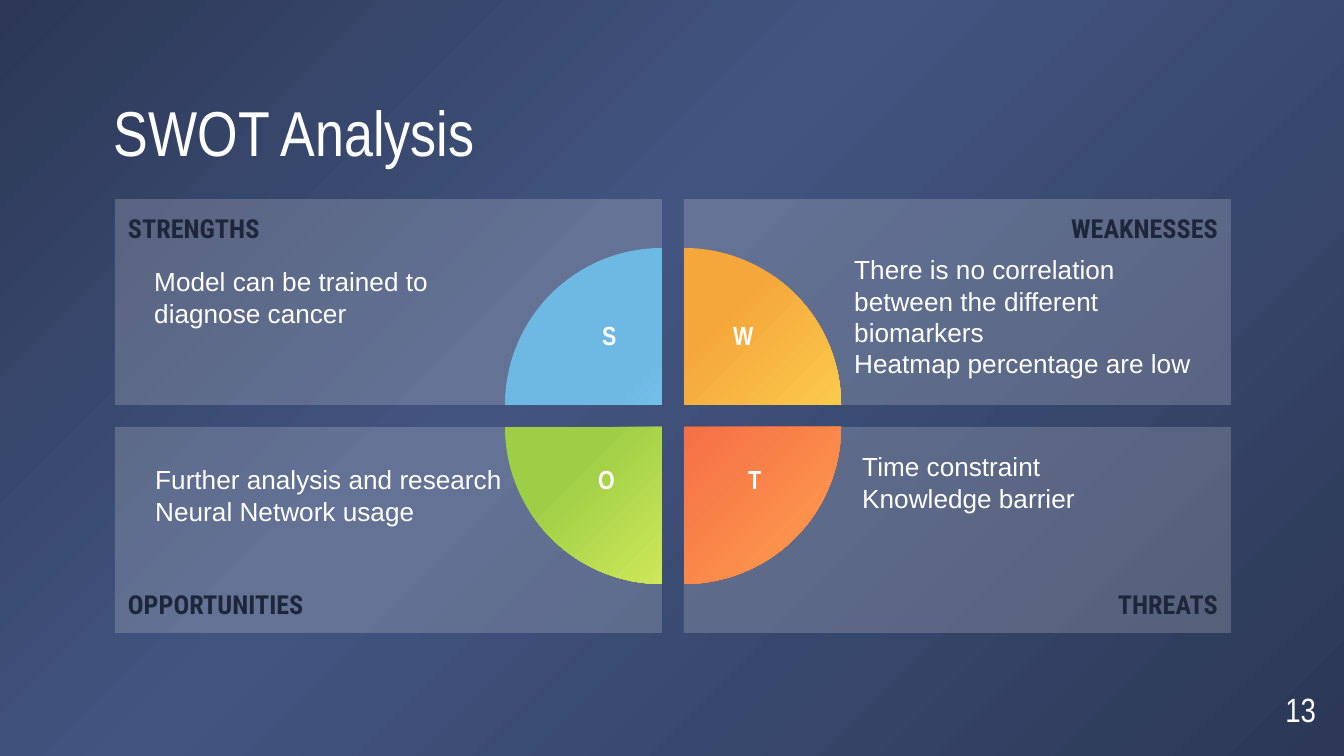
from pptx import Presentation
from pptx.dml.color import RGBColor as Rgb
from pptx.enum.shapes import MSO_SHAPE as Kind
from pptx.enum.text import MSO_ANCHOR as Anchor, MSO_AUTO_SIZE as Fit, PP_ALIGN as Align
from pptx.oxml import parse_xml
from pptx.oxml.ns import nsdecls, qn
from pptx.util import Emu, Pt

HUES = {
    "white": "FFFFFF", "ink": "1E263A", "edge": "2C3856", "mid": "425480",
    "S": ("9FFAFF", "6DB9E4"), "W": ("FFE659", "F5A73B"),
    "O": ("F4FC68", "9ECE46"), "T": ("FF9F4D", "F36846"),
}
NARROW = "Arial Narrow"
WIDE, HIGH = 547, 206
RADIUS = 157
LEFT, RIGHT = 115, 684
UPPER, LOWER = 199, 427


def px(n):
    return Emu(round(n * 914400 / 134.4))


def place(shape, box):
    shape.left, shape.top, shape.width, shape.height = map(px, box)


def glow(start, mid, end):
    stops = "".join(
        f'<a:gs pos="{pos}"><a:srgbClr val="{hue}"/></a:gs>'
        for pos, hue in ((0, start), (58000, mid), (100000, end)))
    return parse_xml(
        f'<a:gradFill {nsdecls("a")} rotWithShape="1"><a:gsLst>{stops}</a:gsLst>'
        '<a:path path="circle"><a:fillToRect l="100000" t="100000"/></a:path>'
        '<a:tileRect r="-100000" b="-100000"/></a:gradFill>')


def write(shape, text, size, font, hue="white", bold=False, align=Align.LEFT,
          anchor=Anchor.TOP, pad=None, lead=None, gap=0):
    frame = shape.text_frame
    frame.text = text
    frame.word_wrap = True
    frame.auto_size = Fit.NONE
    frame.vertical_anchor = anchor
    if pad:
        (frame.margin_left, frame.margin_top,
         frame.margin_right, frame.margin_bottom) = map(px, pad)
    for para in frame.paragraphs:
        para.alignment = align
        para.line_spacing = lead
        para.space_before = para.space_after = Pt(gap)
        for run in para.runs:
            run.font.size, run.font.name, run.font.bold = Pt(size), font, bold
            run.font.color.rgb = Rgb.from_string(HUES[hue])


def label(page, box, text, size, font, **style):
    write(page.shapes.add_textbox(*map(px, box)), text, size, font, **style)


def block(page, kind, box):
    shape = page.shapes.add_shape(kind, *map(px, box))
    shape.shadow.inherit = False
    shape.line.fill.background()
    return shape


def panel(page, box, head, right, low):
    rect = block(page, Kind.RECTANGLE, box)
    rect.fill.solid()
    rect.fill.fore_color.rgb = Rgb.from_string(HUES["white"])
    tint = rect.fill._xPr.find(qn("a:solidFill"))[0]
    tint.append(parse_xml(f'<a:alpha {nsdecls("a")} val="18000"/>'))
    write(rect, head, 14, "Roboto Condensed", "ink", True,
          Align.RIGHT if right else Align.LEFT,
          Anchor.BOTTOM if low else Anchor.TOP,
          (202, 13, 13, 13) if right else (13, 13, 202, 13), gap=6 if low else 0)


def wedge(page, hub, turn, key):
    x, y = hub
    pie = block(page, Kind.PIE, (x - RADIUS, y - RADIUS, 2 * RADIUS, 2 * RADIUS))
    pie.adjustments[0], pie.adjustments[1] = 108, 162
    pie.rotation = turn
    start, end = HUES[key]
    pie._element.spPr.find(qn("a:prstGeom")).addnext(glow(start, end, end))


def quad(page, box, turn, head, letter, note, lines):
    x, y, wide, high = box
    right, low = x == RIGHT, y == LOWER
    hub = (x if right else x + wide, y if low else y + high)
    panel(page, box, head, right, low)
    wedge(page, hub, turn, head[0])
    dx, dy, size = letter
    label(page, (hub[0] + dx, hub[1] + dy, size, 60), head[0], 14, NARROW,
          bold=True, align=Align.CENTER)
    dx, dy, tall = note
    label(page, (x + dx, y + dy, 375, tall), lines, 14, "Arial")


def header(page, box):
    title = page.shapes.title
    place(title, box)
    write(title, "SWOT Analysis", 34, NARROW, anchor=Anchor.BOTTOM,
          pad=(0, 0, 0, 0), lead=0.9)
    run = title.text_frame.paragraphs[0].runs[0]
    run._r.rPr.find(qn("a:solidFill")).addnext(parse_xml(
        f'<a:effectLst {nsdecls("a")}><a:outerShdw blurRad="38100" dist="38100" '
        'dir="2700000"><a:srgbClr val="000000"><a:alpha val="30000"/></a:srgbClr>'
        '</a:outerShdw></a:effectLst>'))


def backdrop(page):
    fill = page.background.fill
    fill.solid()
    old = fill._xPr.find(qn("a:solidFill"))
    old.addnext(glow(HUES["edge"], HUES["mid"], HUES["edge"]))
    fill._xPr.remove(old)


def main():
    deck = Presentation()
    deck.slide_width, deck.slide_height = px(1344), px(756)
    page = deck.slides.add_slide(deck.slide_layouts[5])
    backdrop(page)
    header(page, (114, 112, 1116, 58))
    label(page, (1235, 683, 81, 47), "13", 18, NARROW, align=Align.RIGHT,
          anchor=Anchor.BOTTOM, pad=(0, 0, 0, 0), lead=0.9)
    quads = [
        (LEFT, UPPER, 0, "STRENGTHS", (-73, -92, 30), (26, 60, 77),
         "Model can be trained to diagnose cancer"),
        (RIGHT, UPPER, 90, "WEAKNESSES", (36, -92, 46), (157, 48, 140),
         "There is no correlation between the different biomarkers\n"
         "Heatmap percentage are low"),
        (RIGHT, LOWER, 180, "THREATS", (51, 30, 31), (165, 17, 77),
         "Time constraint\nKnowledge barrier"),
        (LEFT, LOWER, 270, "OPPORTUNITIES", (-77, 30, 30), (27, 30, 77),
         "Further analysis and research\nNeural Network usage"),
    ]
    for x, y, *rest in quads:
        quad(page, (x, y, WIDE, HIGH), *rest)
    deck.save("out.pptx")


if __name__ == "__main__":
    main()
